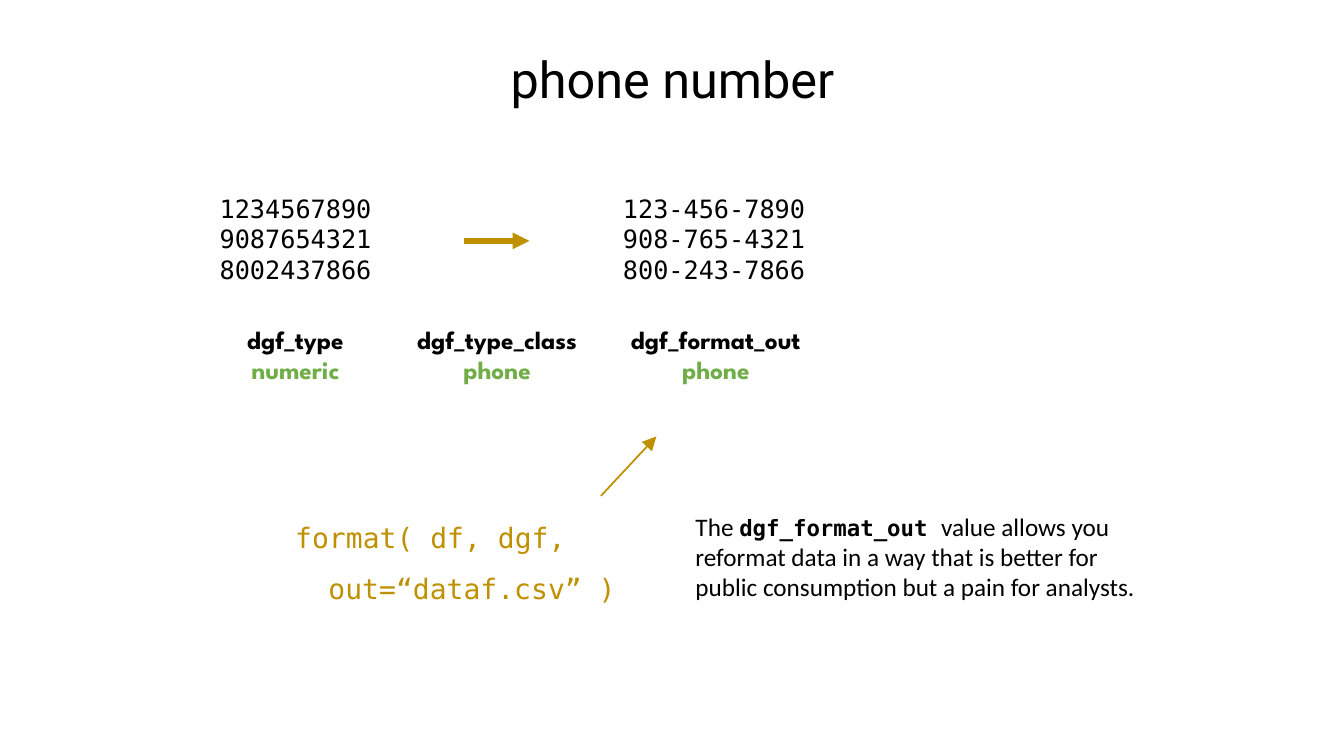
from lxml import etree
from pptx import Presentation
from pptx import util as u
from pptx.dml import color as c
from pptx.enum import shapes, text
from pptx.oxml import ns

BLACK, GREEN, GOLD = "000000", "70AD47", "BF9000"
MONO, LABEL = "DejaVu Sans Mono", "League Spartan"


def rgb(value):
    """Turn a hex string into a colour."""
    return c.RGBColor.from_string(value)


def add_run(p, content, font="Calibri", size=18, color=BLACK, bold=False):
    """Append formatted text to a paragraph."""
    r = p.add_run()
    r.text = content
    r.font.name, r.font.size, r.font.bold = font, u.Pt(size), bold
    r.font.color.rgb = rgb(color)


def add_box(slide, box, wrap=True):
    """Add an empty text box and return its text frame."""
    tf = slide.shapes.add_textbox(*map(u.Inches, box)).text_frame
    tf.word_wrap = wrap
    return tf


def add_lines(tf, lines, align=text.PP_ALIGN.LEFT, spacing=1.0, **style):
    """Fill a text frame with one paragraph per line."""
    for i, content in enumerate(lines):
        p = tf.paragraphs[0] if i == 0 else tf.add_paragraph()
        p.alignment, p.line_spacing = align, spacing
        add_run(p, content, **style)


def add_title(slide, box, content):
    """Place and format the title placeholder."""
    sp = slide.shapes.title
    sp.left, sp.top, sp.width, sp.height = map(u.Inches, box)
    tf = sp.text_frame
    tf.word_wrap = False
    tf.auto_size = text.MSO_AUTO_SIZE.NONE
    tf.vertical_anchor = text.MSO_ANCHOR.TOP
    add_lines(tf, [content], text.PP_ALIGN.CENTER, font="Roboto", size=36)


def add_numbers(slide, box, pairs):
    """List raw numbers beside their formatted versions at a tab stop."""
    tf = add_box(slide, box)
    add_lines(tf, ["\t".join(pair) for pair in pairs], font=MONO)
    for p in tf.paragraphs:
        tabs = etree.SubElement(p._p.get_or_add_pPr(), ns.qn("a:tabLst"))
        etree.SubElement(tabs, ns.qn("a:tab"), pos=str(u.Inches(4)), algn="l")


def add_label(slide, box, name, value):
    """Show a field name above its value."""
    tf = add_box(slide, box, wrap=False)
    add_lines(tf, [name, value], text.PP_ALIGN.CENTER, font=LABEL, bold=True)
    tf.paragraphs[1].runs[0].font.color.rgb = rgb(GREEN)


def add_code(slide, box, lines):
    """Show a function call with its second line indented."""
    tf = add_box(slide, box, wrap=False)
    add_lines(tf, lines, spacing=1.5, font=MONO, size=20, color=GOLD)
    tf.paragraphs[1]._p.get_or_add_pPr().set("marL", str(u.Inches(0.33)))


def add_note(slide, box):
    """Explain the output format field."""
    p = add_box(slide, box).paragraphs[0]
    add_run(p, "The ")
    add_run(p, "dgf_format_out ", font=MONO, size=16, bold=True)
    add_run(p, "value allows you reformat data in a way that is better for "
               "public consumption but a pain for analysts.")


def add_arrow(slide, ends, width, head="med"):
    """Draw a gold arrow between two points."""
    line = slide.shapes.add_connector(
        shapes.MSO_CONNECTOR.STRAIGHT, *map(u.Inches, ends))
    line.line.color.rgb = rgb(GOLD)
    line.line.width = u.Pt(width)
    etree.SubElement(line.line._get_or_add_ln(), ns.qn("a:tailEnd"),
                     type="triangle", w=head, len=head)
    etree.SubElement(line._element.spPr, ns.qn("a:effectLst"))


def build_slide(prs):
    """Build the phone number slide."""
    slide = prs.slides.add_slide(prs.slide_layouts[5])
    add_title(slide, (4.82, 0.43, 3.7, 0.71), "phone number")
    add_numbers(slide, (2.08, 1.87, 10.29, 1.01), [
        ("1234567890", "123-456-7890"),
        ("9087654321", "908-765-4321"),
        ("8002437866", "800-243-7866"),
    ])
    for left, width, name, value in [
        (2.29, 1.28, "dgf_type", "numeric"),
        (3.92, 2.02, "dgf_type_class", "phone"),
        (6.08, 2.04, "dgf_format_out", "phone"),
    ]:
        add_label(slide, (left, 3.17, width, 0.71), name, value)
    add_code(slide, (2.83, 4.95, 3.4, 1.06),
             ["format( df, dgf,", "out=“dataf.csv” )"])
    add_note(slide, (6.8, 5.02, 4.63, 1.01))
    add_arrow(slide, (4.6, 2.39, 5.25, 2.39), 4)
    add_arrow(slide, (5.96, 4.92, 6.51, 4.33), 1.25, head="lg")


def main():
    """Create and save the presentation."""
    prs = Presentation()
    prs.slide_width, prs.slide_height = u.Inches(13.33), u.Inches(7.5)
    build_slide(prs)
    prs.save("out.pptx")


if __name__ == "__main__":
    main()
